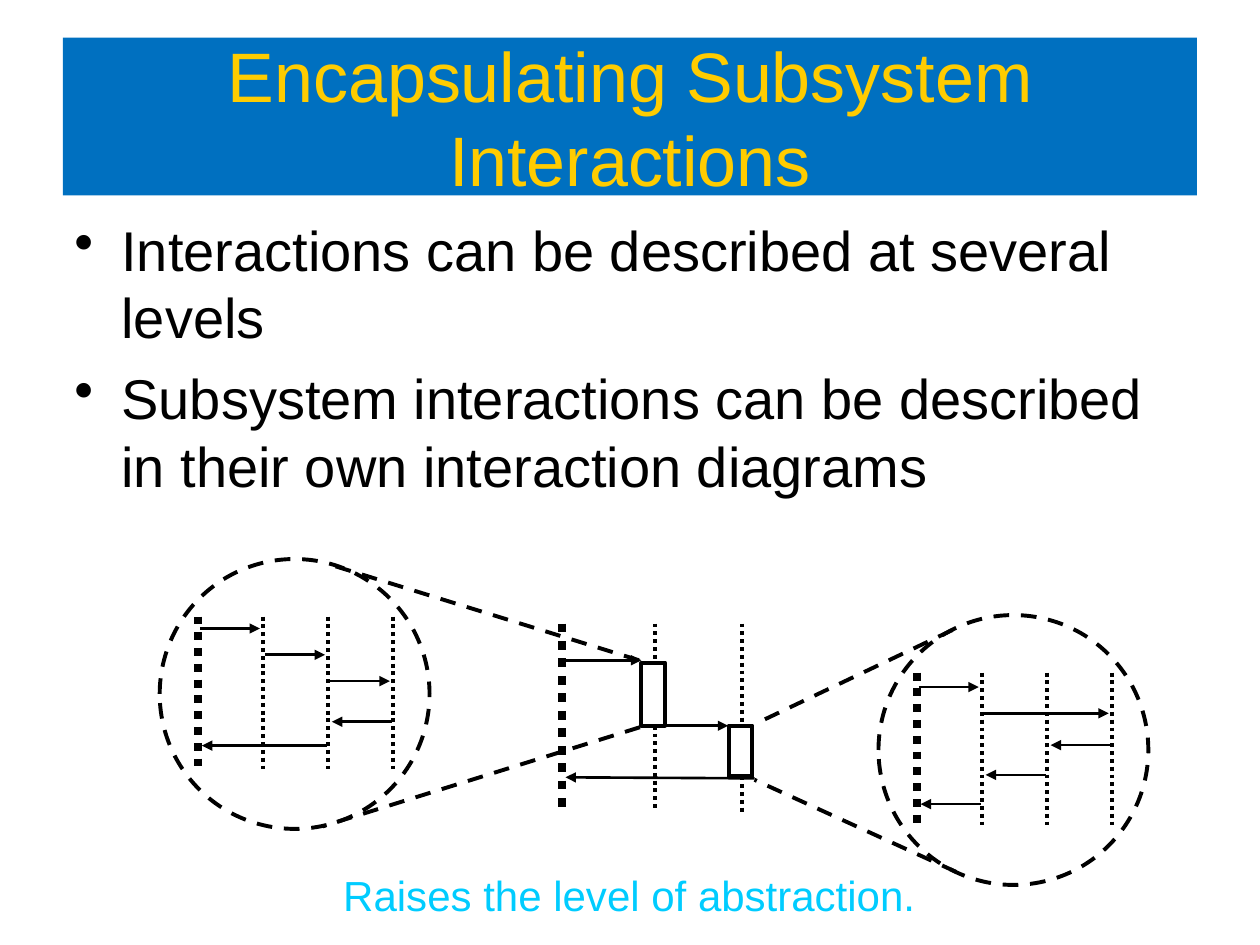
from pptx import Presentation
from pptx.dml.color import RGBColor as Rgb
from pptx.enum.dml import MSO_LINE as Dash
from pptx.enum.shapes import MSO_CONNECTOR as Link, MSO_SHAPE as Form
from pptx.enum.text import MSO_ANCHOR as Anchor, PP_ALIGN as Align
from pptx.oxml.ns import qn
from pptx.util import Cm, Pt
from lxml.etree import SubElement as Sub


def color(code):
    return Rgb.from_string(code)


class Pen:
    font = "Arial"
    ink = "000000"
    dot = Dash.ROUND_DOT
    dash = Dash.DASH

    def __init__(self, slide):
        self.shapes = slide.shapes

    def text(self, box, lines, size, tint, align=Align.LEFT, bullet=False, fill=None):
        shape = self.shapes.add_textbox(*map(Cm, box))
        frame = shape.text_frame
        frame.word_wrap = True
        if fill:
            shape.fill.solid()
            shape.fill.fore_color.rgb = color(fill)
            frame.vertical_anchor = Anchor.MIDDLE
        for i, line in enumerate(lines):
            para = frame.paragraphs[0] if i == 0 else frame.add_paragraph()
            para.text = line
            para.alignment = align
            if i:
                para.space_before = Pt(8)
            if bullet:
                props = para._p.get_or_add_pPr()
                props.set("marL", str(Cm(0.95)))
                props.set("indent", str(-Cm(0.95)))
                Sub(props, qn("a:buChar")).set("char", "•")
            para.font.name = self.font
            para.font.size = Pt(size)
            para.font.color.rgb = color(tint)

    def shape(self, form, box, dash=None):
        shape = self.shapes.add_shape(form, *map(Cm, box))
        shape.shadow.inherit = False
        shape.fill.background()
        self.stroke(shape.line, 2.25, dash)

    def stroke(self, line, width, dash=None):
        line.color.rgb = color(self.ink)
        line.width = Pt(width)
        if dash:
            line.dash_style = dash

    def line(self, x1, y1, x2, y2, width=2.25, dash=None, arrow=False):
        link = self.shapes.add_connector(Link.STRAIGHT, *map(Cm, (x1, y1, x2, y2)))
        self.stroke(link.line, width, dash)
        if arrow:
            Sub(link.line._get_or_add_ln(), qn("a:tailEnd")).set("type", "triangle")
        Sub(link._element.spPr, qn("a:effectLst"))

    def life(self, x, top, end, width=2.25):
        self.line(x, top, x, end, width, self.dot)

    def call(self, x1, y1, x2, y2):
        self.line(x1, y1, x2, y2, 1.5, arrow=True)

    def lens(self, left, top, calls):
        self.shape(Form.OVAL, (left, top, 5.44, 5.44), self.dash)
        lanes = [left + 0.78 + 1.31 * i for i in range(4)]
        for i, x in enumerate(lanes):
            self.life(x, top + 1.16, top + 4.24, 2.25 if i else 4.5)
        for start, end, drop in calls:
            way = 1 if end > start else -1
            y = top + drop
            self.call(lanes[start] + 0.03 * way, y, lanes[end] - 0.07 * way, y)


def main():
    deck = Presentation()
    deck.slide_width, deck.slide_height = Cm(25.4), Cm(19.05)
    pen = Pen(deck.slides.add_slide(deck.slide_layouts[6]))

    pen.text((6.6, 17.4, 12.17, 1.27), ["Raises the level of abstraction."],
             24, "00CCFF", Align.CENTER)
    pen.text((1.27, 0.76, 22.86, 3.18), ["Encapsulating Subsystem Interactions"],
             40, "FFCC00", Align.CENTER, fill="0070C0")
    pen.text((1.25, 4.22, 22.86, 12.57),
             ["Interactions can be described at several levels",
              "Subsystem interactions can be described in their own interaction diagrams"],
             32, "000000", bullet=True)

    top, end = 12.57, 16.36
    pen.life(11.33, top, end, 5)
    for x, y, high in ((13.2, 13.36, 1.27), (14.96, 14.63, 1.02)):
        pen.life(x, top, y)
        pen.shape(Form.RECTANGLE, (x - 0.27, y, 0.48, high))
        pen.life(x, y + high, end)
    for ends in ((11.3, 13.31, 12.93, 13.31), (13.06, 14.63, 14.68, 14.63),
                 (15.21, 15.69, 11.4, 15.67)):
        pen.call(*ends)

    pen.lens(3.22, 11.27, [(0, 1, 1.4), (1, 2, 1.93), (2, 3, 2.46),
                           (3, 2, 3.28), (2, 0, 3.76)])
    pen.lens(17.71, 12.4, [(0, 1, 1.45), (1, 3, 1.98), (3, 2, 2.62),
                           (2, 1, 3.22), (1, 0, 3.81)])
    for ends in ((12.9, 14.66, 6.5, 16.66), (12.88, 13.31, 6.55, 11.35),
                 (19.2, 12.7, 15.21, 14.6), (19.28, 17.58, 15.21, 15.72)):
        pen.line(*ends, dash=pen.dash)

    deck.save("out.pptx")


if __name__ == "__main__":
    main()
